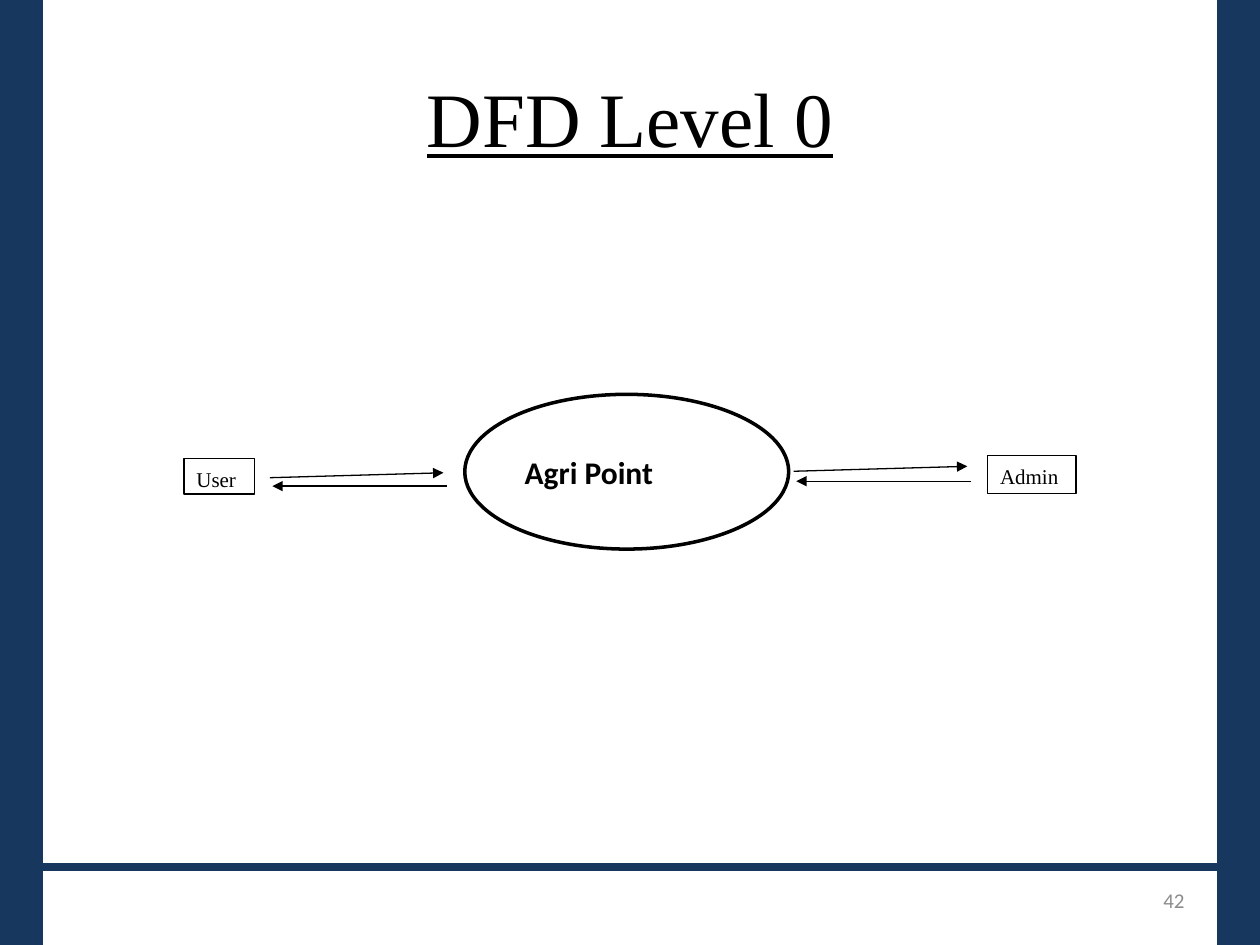
from lxml.etree import SubElement
from pptx import Presentation
from pptx.dml.color import RGBColor
from pptx.enum.shapes import MSO_CONNECTOR, MSO_SHAPE
from pptx.enum.text import MSO_ANCHOR, PP_ALIGN
from pptx.oxml.ns import qn
from pptx.util import Cm, Pt

NAVY = RGBColor(0x17, 0x37, 0x5E)
BLACK = RGBColor(0, 0, 0)
WHITE = RGBColor(0xFF, 0xFF, 0xFF)
GREY = RGBColor(0x8C, 0x8C, 0x8C)
SLIDE_W, SLIDE_H = 25.4, 19.05
BAR_W = 0.84
SERIF = "Times New Roman"
SANS = "Calibri"


def write(holder, text, font=SANS, size=12, color=BLACK, bold=False,
          underline=False, align=PP_ALIGN.LEFT, anchor=MSO_ANCHOR.MIDDLE,
          line_spacing=None, space_after=None):
    frame = holder.text_frame
    frame.word_wrap = True
    frame.vertical_anchor = anchor
    paragraph = frame.paragraphs[0]
    paragraph.alignment = align
    paragraph.line_spacing = line_spacing
    paragraph.space_after = space_after
    run = paragraph.add_run()
    run.text = text
    run.font.name = font
    run.font.size = Pt(size)
    run.font.bold = bold
    run.font.underline = underline
    run.font.color.rgb = color


def add_label(slide, box, text, **style):
    label = slide.shapes.add_textbox(*map(Cm, box))
    write(label, text, **style)


def add_figure(slide, preset, box, fill, line, width):
    figure = slide.shapes.add_shape(preset, *map(Cm, box))
    figure.shadow.inherit = False
    figure.fill.solid()
    figure.fill.fore_color.rgb = fill
    figure.line.color.rgb = line
    figure.line.width = Pt(width)
    return figure


def add_line(slide, start, end, color=BLACK, width=0.75, arrow=False):
    line = slide.shapes.add_connector(
        MSO_CONNECTOR.STRAIGHT, *map(Cm, (*start, *end)))
    line.line.color.rgb = color
    line.line.width = Pt(width)
    if arrow:
        SubElement(line.line._get_or_add_ln(), qn("a:tailEnd"), type="triangle")
    SubElement(line._element.spPr, qn("a:effectLst"))


def add_frame(slide, width, height):
    for left in (0, width - BAR_W):
        add_figure(slide, MSO_SHAPE.RECTANGLE, (left, 0, BAR_W, height),
                   NAVY, NAVY, 2)
    rule_y = height - 1.57
    add_line(slide, (BAR_W, rule_y), (width - BAR_W, rule_y), NAVY, 4.5)
    add_label(slide, (width - 7.19, height - 1.4, 5.92, 1.01), "42",
              color=GREY, align=PP_ALIGN.RIGHT)


def add_process(slide, box, name):
    process = add_figure(slide, MSO_SHAPE.OVAL, box, WHITE, BLACK, 2)
    write(process, name, size=18, bold=True)


def add_entity(slide, box, name):
    entity = add_figure(slide, MSO_SHAPE.RECTANGLE, box, WHITE, BLACK, 0.75)
    write(entity, name, font=SERIF, anchor=MSO_ANCHOR.TOP,
          line_spacing=1.07, space_after=Pt(8))


def add_exchange(slide, left, top, width, height):
    right = left + width
    bottom = top + height
    add_line(slide, (left, top + 0.1), (right - 0.07, top), arrow=True)
    add_line(slide, (right, bottom), (left + 0.05, bottom), arrow=True)


def add_data_flow(slide, left, top):
    add_process(slide, (left + 5.66, top, 6.53, 3.12), "Agri Point")
    add_entity(slide, (left, top + 1.3, 1.42, 0.71), "User")
    add_entity(slide, (left + 16.2, top + 1.24, 1.78, 0.76), "Admin")
    add_exchange(slide, left + 1.73, top + 1.58, 3.57, 0.27)
    add_exchange(slide, left + 12.29, top + 1.45, 3.57, 0.3)


def main():
    deck = Presentation()
    deck.slide_width = Cm(SLIDE_W)
    deck.slide_height = Cm(SLIDE_H)
    slide = deck.slides.add_slide(deck.slide_layouts[6])
    add_frame(slide, SLIDE_W, SLIDE_H)
    add_label(slide, (1.27, 0.76, 22.86, 3.18), "DFD Level 0", font=SERIF,
              size=44, underline=True, align=PP_ALIGN.CENTER)
    add_data_flow(slide, 3.71, 7.95)
    deck.save("out.pptx")


if __name__ == "__main__":
    main()
